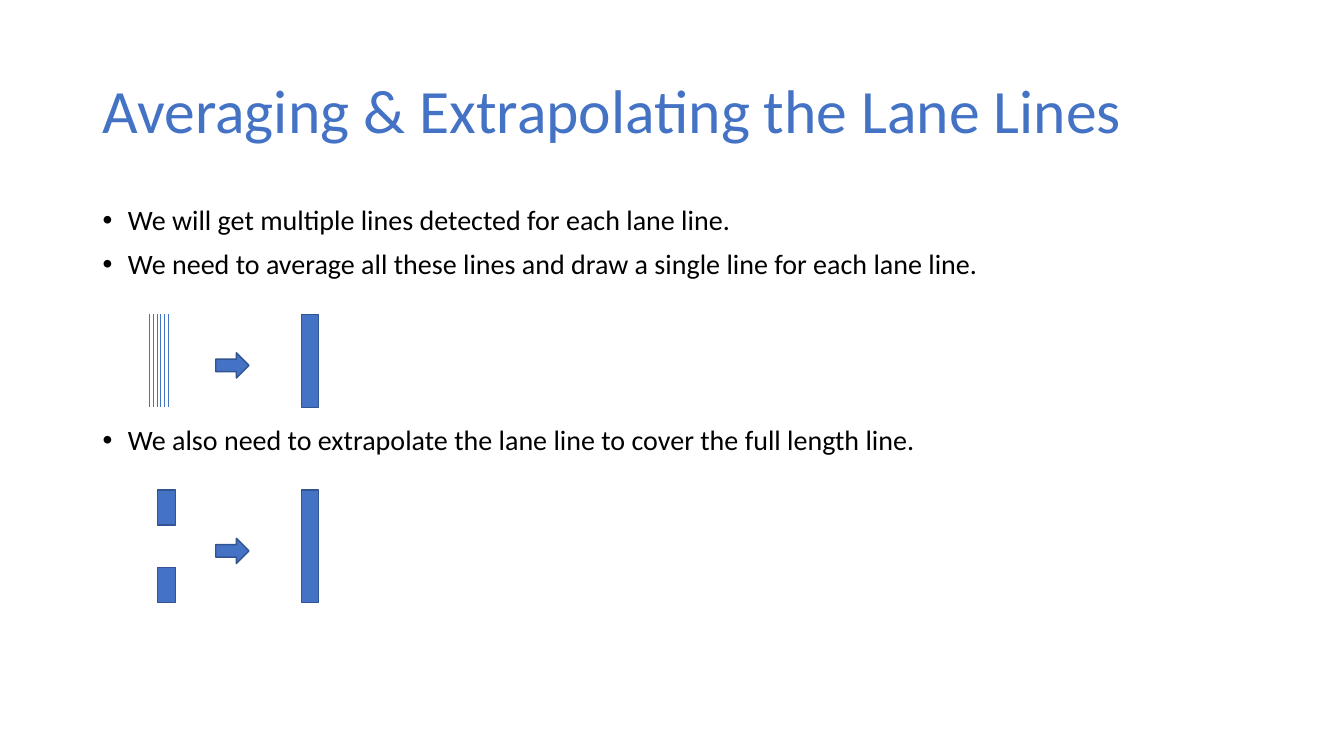
from lxml import etree
from pptx import Presentation
from pptx.dml.color import RGBColor
from pptx.enum.shapes import MSO_CONNECTOR, MSO_SHAPE
from pptx.enum.text import MSO_ANCHOR, MSO_AUTO_SIZE, PP_ALIGN
from pptx.oxml.ns import qn
from pptx.util import Emu, Pt

PX = 9144  # 100 px to the inch
COLORS = {"blue": "4472C4", "edge": "325491", "text": "000000", "paper": "FFFFFF"}
FONT = "Calibri"
BULLET_GAP = 10
DIAGRAM_GAP = 104
BULLETS = [
    ("We will get multiple lines detected for each lane line.", BULLET_GAP),
    ("We need to average all these lines and draw a single line for each lane line.", BULLET_GAP),
    ("We also need to extrapolate the lane line to cover the full length line.", DIAGRAM_GAP),
]


def px(*lengths):
    return [Emu(n * PX) for n in lengths]


def color(name):
    return RGBColor.from_string(COLORS[name])


def paint(sp, fill, line):
    sp.fill.solid()
    sp.fill.fore_color.rgb = color(fill)
    sp.line.color.rgb = color(line)
    sp.line.width = Pt(1)


def style_paragraph(p, size, ink):
    p.alignment = PP_ALIGN.LEFT
    p.line_spacing = 0.9
    for r in p.runs:
        r.font.name = FONT
        r.font.size = Pt(size)
        r.font.color.rgb = color(ink)


def add_title(s, box, text):
    sp = s.shapes.title
    sp.left, sp.top, sp.width, sp.height = px(*box)
    tf = sp.text_frame
    tf.text = text
    tf.auto_size = MSO_AUTO_SIZE.NONE
    tf.vertical_anchor = MSO_ANCHOR.MIDDLE
    style_paragraph(tf.paragraphs[0], 44, "blue")


def add_bullets(s, box, bullets):
    sp = s.shapes.add_textbox(*px(*box))
    paint(sp, "paper", "paper")
    tf = sp.text_frame
    tf.word_wrap = True
    for i, (text, gap) in enumerate(bullets):
        p = tf.paragraphs[0] if i == 0 else tf.add_paragraph()
        p.text = text
        style_paragraph(p, 20, "text")
        p.space_before = Pt(gap)
        pPr = p._p.get_or_add_pPr()
        pPr.set("marL", str(25 * PX))
        pPr.set("indent", str(-25 * PX))
        etree.SubElement(pPr, qn("a:buFont")).set("typeface", "Arial")
        etree.SubElement(pPr, qn("a:buChar")).set("char", "•")


def add_block(s, shape, box):
    sp = s.shapes.add_shape(shape, *px(*box))
    sp.shadow.inherit = False
    paint(sp, "blue", "edge")


def add_result(s, box):
    """Arrow and the single full-length line it leads to."""
    x, y, w, h = box
    add_block(s, MSO_SHAPE.RIGHT_ARROW, (x + 66, y + h // 2 - 8, 33, 25))
    add_block(s, MSO_SHAPE.RECTANGLE, (x + w - 17, y, 17, h))


def add_averaging(s, box, count=6, spread=19):
    x, y, w, h = box
    # Detected lines, evenly spread
    for i in range(count):
        line_x = x + round(i * spread / (count - 1))
        line = s.shapes.add_connector(MSO_CONNECTOR.STRAIGHT, *px(line_x, y, line_x, y + h))
        line.line.color.rgb = color("blue")
        line.line.width = Pt(0.5)
        etree.SubElement(line._element.spPr, qn("a:effectLst"))
    add_result(s, box)


def add_extrapolation(s, box, dash=35):
    x, y, w, h = box
    # Dashes at both ends of the lane line
    for top in (y, y + h - dash):
        add_block(s, MSO_SHAPE.RECTANGLE, (x + 8, top, 18, dash))
    add_result(s, box)


def main():
    prs = Presentation()
    prs.slide_width, prs.slide_height = px(1333, 750)
    s = prs.slides.add_slide(prs.slide_layouts[5])
    add_title(s, (92, 40, 1150, 145), "Averaging & Extrapolating the Lane Lines")
    add_bullets(s, (92, 200, 1150, 476), BULLETS)
    add_averaging(s, (148, 312, 168, 92))
    add_extrapolation(s, (148, 486, 168, 112))
    prs.save("out.pptx")


if __name__ == "__main__":
    main()
